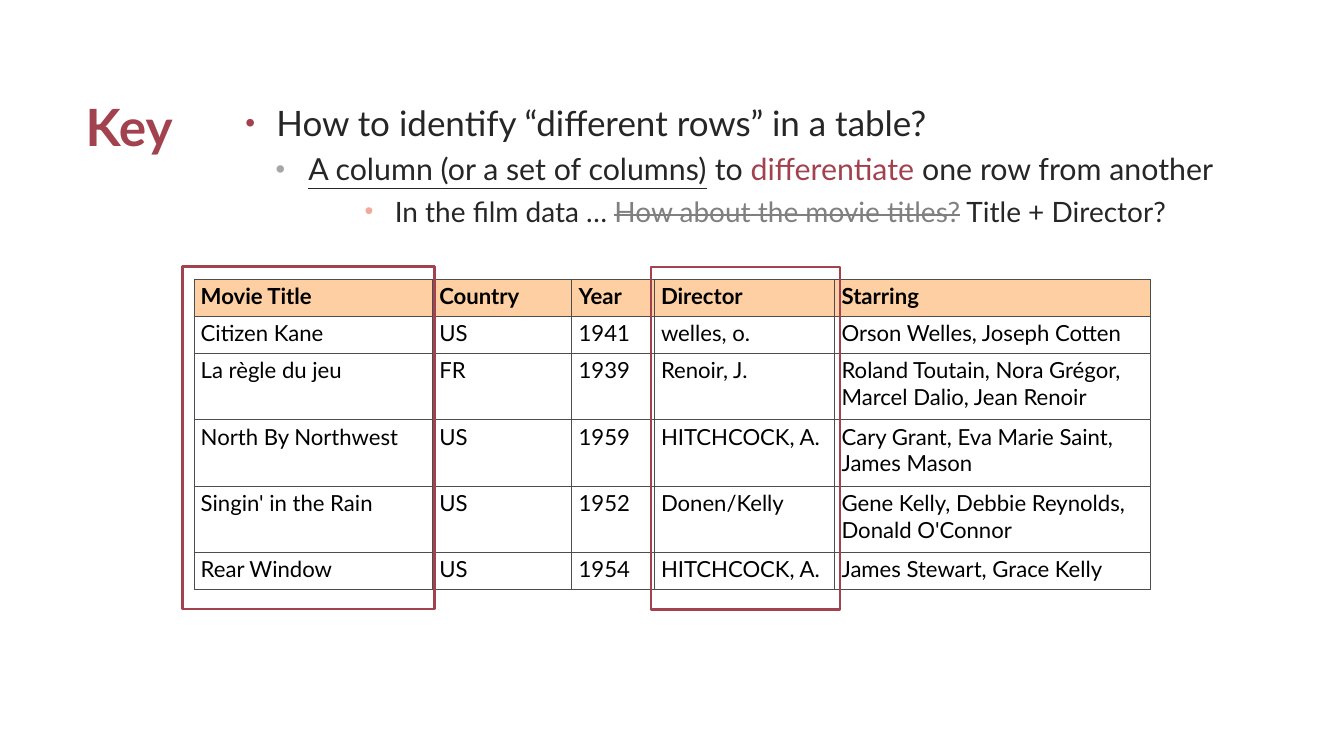
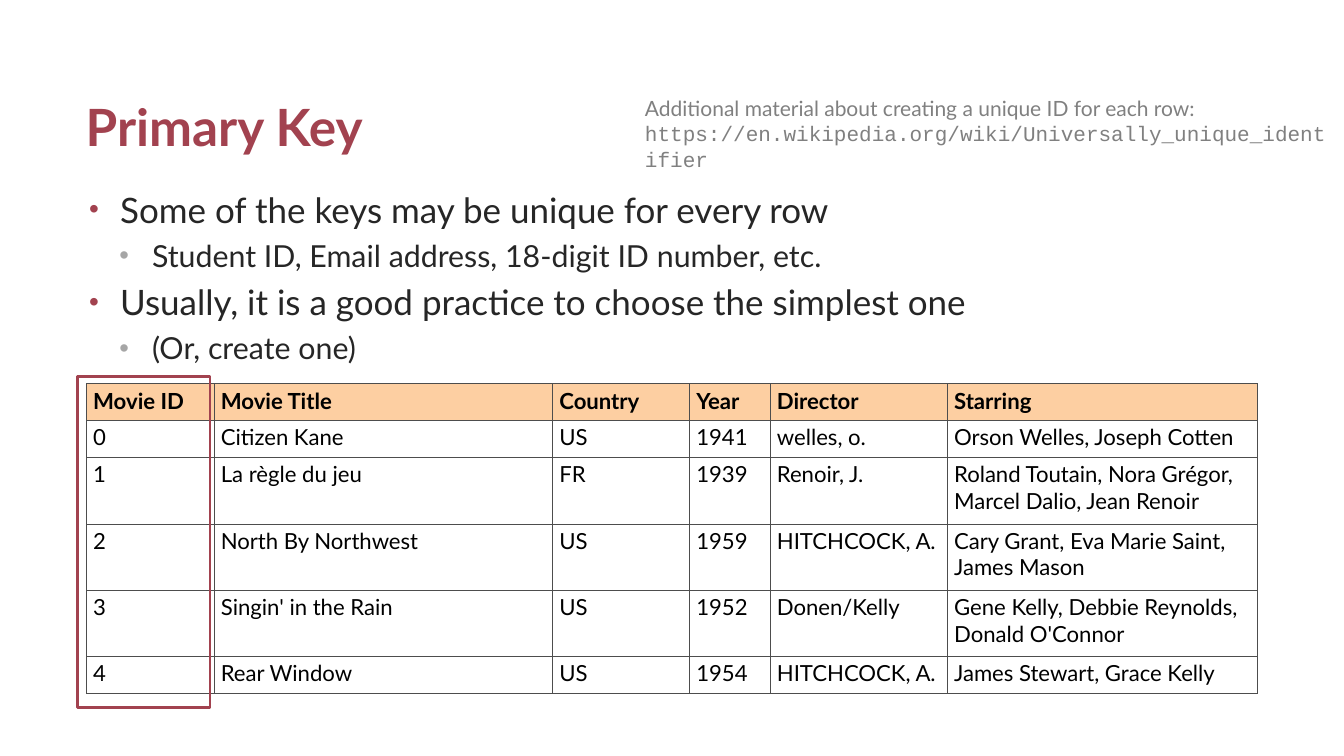
import pptx
import pptx.dml.color
import pptx.enum.shapes
import pptx.enum.text
import pptx.oxml
import pptx.oxml.ns
import pptx.util
from dataclasses import dataclass
from lxml import etree

Inches = pptx.util.Inches
Pt = pptx.util.Pt


@dataclass(frozen=True)
class Theme:
    font: str = "Lato"
    code_font: str = "Courier New"
    accent: str = "A2424F"
    ink: str = "262626"
    muted: str = "808080"
    black: str = "000000"
    white: str = "FFFFFF"
    header_fill: str = "FDCFA2"
    grid: str = "4D4D4D"
    title_size: int = 44
    table_size: int = 19
    note_size: int = 18
    # Per list level: text size, left margin, hanging indent, bullet colour, bullet percent
    levels: tuple = (
        (30, 0.37, 0.37, "A2424F", 80),
        (26, 0.75, 0.39, "A6A6A6", 90),
        (24, 1.78, 0.36, "F3A999", 90),
    )


def rgb(value):
    return pptx.dml.color.RGBColor.from_string(value)


def add_element(parent, tag, **attributes):
    return etree.SubElement(parent, pptx.oxml.ns.qn(tag), attributes)


class Deck:
    """Holds the style and the current slide."""

    def __init__(self, theme):
        self.theme = theme
        self.presentation = pptx.Presentation()
        self.presentation.slide_width = Inches(16)
        self.presentation.slide_height = Inches(9)
        self.slide = None

    def place(self, shape, left, top, width, height):
        shape.left, shape.top = Inches(left), Inches(top)
        shape.width, shape.height = Inches(width), Inches(height)

    def style(self, font, size, color, bold=False):
        font.name = self.theme.font
        font.size = Pt(size)
        font.bold = bold
        font.color.rgb = rgb(color)

    def add_slide(self, title, title_width):
        self.slide = self.presentation.slides.add_slide(self.presentation.slide_layouts[1])
        shape = self.slide.shapes.title
        self.place(shape, 0.92, 0.36, title_width, 1.56)
        frame = shape.text_frame
        frame.text = title
        frame.auto_size = pptx.enum.text.MSO_AUTO_SIZE.NONE
        frame.vertical_anchor = pptx.enum.text.MSO_ANCHOR.BOTTOM
        paragraph = frame.paragraphs[0]
        paragraph.alignment = pptx.enum.text.PP_ALIGN.LEFT
        self.style(paragraph.font, self.theme.title_size, self.theme.accent, bold=True)

    def add_bullets(self, left, top, height, items):
        """Each item is a level and its runs; a run is text and its formats."""
        shape = self.slide.placeholders[1]
        self.place(shape, left, top, 14.17, height)
        frame = shape.text_frame
        frame.auto_size = pptx.enum.text.MSO_AUTO_SIZE.NONE
        frame.margin_left = frame.margin_right = Inches(0.14)
        frame.margin_top = frame.margin_bottom = Inches(0.07)
        for index, (level, runs) in enumerate(items):
            paragraph = frame.paragraphs[0] if index == 0 else frame.add_paragraph()
            size, margin, hanging, bullet_color, percent = self.theme.levels[level]
            paragraph.level = level
            properties = paragraph._p.get_or_add_pPr()
            properties.set("marL", str(Inches(margin)))
            properties.set("indent", str(-Inches(hanging)))
            add_element(add_element(properties, "a:buClr"), "a:srgbClr", val=bullet_color)
            add_element(properties, "a:buSzPct", val=str(percent * 1000))
            add_element(properties, "a:buChar", char="•")
            paragraph.space_before = Pt(4 if index else 0)
            paragraph.space_after = Pt(2)
            self.style(paragraph.font, size, self.theme.ink)
            for text, formats in runs:
                self.add_run(paragraph, text, **formats)

    def add_run(self, paragraph, text, color=None, font=None, underline=False, strike=False):
        run = paragraph.add_run()
        run.text = text
        if color:
            run.font.color.rgb = rgb(color)
        if font:
            run.font.name = font
        if underline:
            run.font.underline = True
        if strike:
            run._r.get_or_add_rPr().set("strike", "sngStrike")

    def add_table(self, left, top, column_widths, row_heights, rows):
        table = self.slide.shapes.add_table(
            len(rows), len(column_widths), Inches(left), Inches(top),
            Inches(sum(column_widths)), Inches(sum(row_heights))).table
        table.horz_banding = False
        for column, width in zip(table.columns, column_widths):
            column.width = Inches(width)
        for row_index, (row, height) in enumerate(zip(table.rows, row_heights)):
            row.height = Inches(height)
            for cell, text in zip(row.cells, rows[row_index]):
                self.fill_cell(cell, text, header=row_index == 0)

    def fill_cell(self, cell, text, header):
        cell.text = text
        cell.margin_left = cell.margin_right = Inches(0.08)
        cell.margin_top = cell.margin_bottom = Inches(0.04)
        self.style(cell.text_frame.paragraphs[0].font, self.theme.table_size,
                   self.theme.black, bold=header)
        # Borders come before the fill in the cell properties
        for side in ("a:lnL", "a:lnR", "a:lnT", "a:lnB"):
            line = add_element(cell._tc.get_or_add_tcPr(), side, w=str(Pt(1)))
            add_element(add_element(line, "a:solidFill"), "a:srgbClr", val=self.theme.grid)
        cell.fill.solid()
        cell.fill.fore_color.rgb = rgb(self.theme.header_fill if header else self.theme.white)

    def add_highlight(self, left, top, width, height):
        shape = self.slide.shapes.add_shape(
            pptx.enum.shapes.MSO_SHAPE.RECTANGLE,
            Inches(left), Inches(top), Inches(width), Inches(height))
        shape.shadow.inherit = False
        shape.fill.background()
        shape.line.color.rgb = rgb(self.theme.accent)
        shape.line.width = Pt(2.25)

    def add_note(self, left, top, width, height, runs):
        frame = self.slide.shapes.add_textbox(
            Inches(left), Inches(top), Inches(width), Inches(height)).text_frame
        frame.word_wrap = True
        frame.auto_size = pptx.enum.text.MSO_AUTO_SIZE.SHAPE_TO_FIT_TEXT
        paragraph = frame.paragraphs[0]
        self.style(paragraph.font, self.theme.note_size, self.theme.muted)
        for text, formats in runs:
            self.add_run(paragraph, text, **formats)


# Film data used on both slides
FILMS = [
    ["Movie Title", "Country", "Year", "Director", "Starring"],
    ["Citizen Kane", "US", "1941", "welles, o.", "Orson Welles, Joseph Cotten"],
    ["La règle du jeu", "FR", "1939", "Renoir, J.",
     "Roland Toutain, Nora Grégor, Marcel Dalio, Jean Renoir"],
    ["North By Northwest", "US", "1959", "HITCHCOCK, A.",
     "Cary Grant, Eva Marie Saint, James Mason"],
    ["Singin' in the Rain", "US", "1952", "Donen/Kelly",
     "Gene Kelly, Debbie Reynolds, Donald O'Connor"],
    ["Rear Window", "US", "1954", "HITCHCOCK, A.", "James Stewart, Grace Kelly"],
]
ROW_HEIGHTS = [0.44, 0.44, 0.79, 0.79, 0.79, 0.44]


def build_key(deck):
    theme = deck.theme
    deck.add_slide("Key", 1.75)
    deck.add_bullets(2.78, 1.14, 1.75, [
        (0, [("How to identify “different rows” in a table?", {})]),
        (1, [("A column (or a set of columns)", {"underline": True}),
             (" to ", {}),
             ("differentiate", {"color": theme.accent}),
             (" one row from another", {})]),
        (2, [("In the film data … ", {}),
             ("How about the movie titles?", {"color": theme.muted, "strike": True}),
             (" Title + Director?", {})]),
    ])
    deck.add_table(2.31, 3.33, [2.84, 1.66, 0.98, 2.15, 3.76], ROW_HEIGHTS, FILMS)
    # Title and director columns together form the key
    deck.add_highlight(2.17, 3.17, 3, 4.08)
    deck.add_highlight(7.75, 3.18, 2.25, 4.08)


def build_primary_key(deck):
    deck.add_slide("Primary Key", 14.17)
    deck.add_bullets(0.92, 2.17, 5.83, [
        (0, [("Some of the keys may be unique for every row", {})]),
        (1, [("Student ID, Email address, 18-digit ID number, etc.", {})]),
        (0, [("Usually, it is a good practice to choose the simplest one", {})]),
        (1, [("(Or, create one)", {})]),
    ])
    # The same films with an ID column in front
    identifiers = ["Movie ID"] + [str(number) for number in range(len(FILMS) - 1)]
    rows = [[identifier] + film for identifier, film in zip(identifiers, FILMS)]
    deck.add_table(1.03, 4.57, [1.52, 4.03, 1.63, 0.96, 2.11, 3.69], ROW_HEIGHTS, rows)
    deck.add_highlight(0.92, 4.48, 1.58, 3.94)
    deck.add_note(7.58, 1.09, 8.42, 0.71, [
        ("Additional material about creating a unique ID for each row: ", {}),
        ("https://en.wikipedia.org/wiki/Universally_unique_identifier",
         {"font": deck.theme.code_font}),
    ])


def main():
    deck = Deck(Theme())
    build_key(deck)
    build_primary_key(deck)
    deck.presentation.save("out.pptx")


if __name__ == "__main__":
    main()
